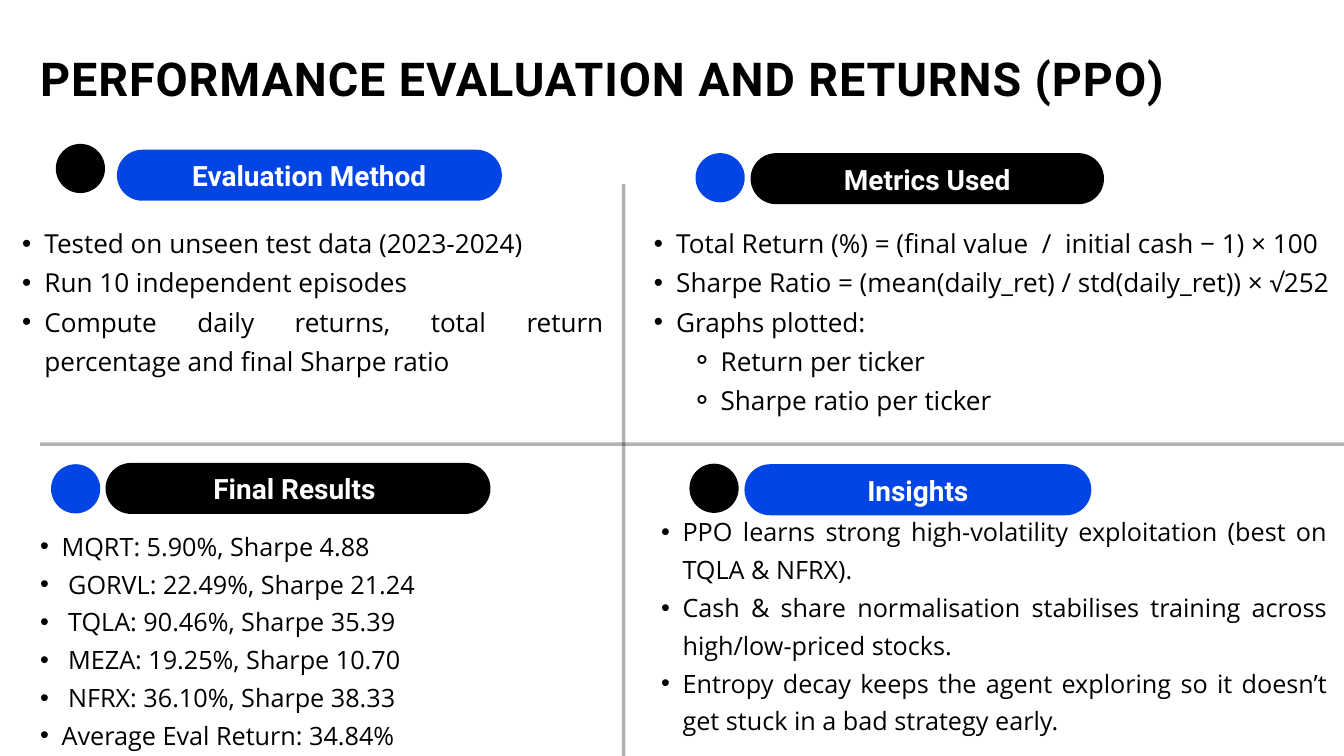
from pptx import Presentation
from pptx.dml.color import RGBColor
from pptx.enum.shapes import MSO_CONNECTOR as Link, MSO_SHAPE as Form
from pptx.enum.text import MSO_ANCHOR as Anchor, MSO_AUTO_SIZE as Fit, PP_ALIGN as Align
from pptx.oxml.ns import qn
from pptx.util import Cm, Pt
from lxml.etree import SubElement

BLACK = RGBColor(0x00, 0x00, 0x00)
BLUE = RGBColor(0x03, 0x45, 0xE4)
WHITE = RGBColor(0xFF, 0xFF, 0xFF)

DOT = 1.86
PILL = 1.93

HEADS = [
    ("Evaluation Method", BLUE, (4.42, 5.66, 14.55), BLACK, (2.11, 5.44)),
    ("Final Results ", BLACK, (3.99, 17.5, 14.55), BLUE, (1.93, 17.55)),
    ("Metrics Used", BLACK, (28.37, 5.79, 13.36), BLUE, (26.29, 5.79)),
    ("Insights", BLUE, (28.14, 17.55, 13.11), BLACK, (26.06, 17.53)),
]

LISTS = [
    ((0, 8.31, 22.81, 7.14), 28, [
        (1, "Tested on unseen test data (2023-2024)"),
        (1, "Run 10 independent episodes"),
        (1, "Compute daily returns, total return percentage and final Sharpe ratio"),
    ]),
    ((23.88, 8.31, 26.62, 8.48), 28, [
        (1, "Total Return (%) = (final value  /  initial cash − 1) × 100"),
        (1, "Sharpe Ratio = (mean(daily_ret) / std(daily_ret)) × √252"),
        (1, "Graphs plotted:"),
        (2, "Return per ticker"),
        (2, "Sharpe ratio per ticker"),
    ]),
    ((0.71, 19.79, 22.61, 9.6), 27, [
        (1, "MQRT: 5.90%, Sharpe 4.88"),
        (1, " GORVL: 22.49%, Sharpe 21.24"),
        (1, " TQLA: 90.46%, Sharpe 35.39"),
        (1, " MEZA: 19.25%, Sharpe 10.70"),
        (1, " NFRX: 36.10%, Sharpe 38.33"),
        (1, "Average Eval Return: 34.84%"),
    ]),
    ((24.18, 19.25, 25.98, 9.6), 27, [
        (1, "PPO learns strong high-volatility exploitation (best on TQLA & NFRX)."),
        (1, "Cash & share normalisation stabilises training across high/low-priced stocks."),
        (1, "Entropy decay keeps the agent exploring so it doesn’t get stuck in a bad strategy early."),
    ]),
]


def write(para, text, size, font="Open Sans", color=BLACK, bold=False,
          align=Align.LEFT, lead=42, track=0):
    para.alignment = align
    para.line_spacing = Pt(lead)
    para.space_before = para.space_after = Pt(0)
    run = para.add_run()
    run.text = text
    run.font.size = Pt(size)
    run.font.name = font
    run.font.bold = bold
    run.font.color.rgb = color
    if track:
        run._r.get_or_add_rPr().set("spc", str(track * 100))


def set_frame(frame, anchor=Anchor.TOP, bottom=0):
    frame.word_wrap = True
    frame.auto_size = Fit.NONE
    frame.vertical_anchor = anchor
    frame.margin_left = frame.margin_right = frame.margin_top = 0
    frame.margin_bottom = Cm(bottom)


def add_title(slide, text):
    title = slide.shapes.title
    title.left, title.top, title.width, title.height = Cm(1.52), Cm(1.55), Cm(47.24), Cm(4.83)
    set_frame(title.text_frame)
    write(title.text_frame.paragraphs[0], text, 50, font="Roboto", bold=True, lead=70, track=1)


def add_rule(slide, x1, y1, x2, y2):
    rule = slide.shapes.add_connector(Link.STRAIGHT, Cm(x1), Cm(y1), Cm(x2), Cm(y2))
    rule.line.width = Pt(3.75)
    rule.line.color.rgb = BLACK
    props = rule._element.spPr
    SubElement(props.find(".//" + qn("a:srgbClr")), qn("a:alpha"), val="30000")
    SubElement(props, qn("a:effectLst"))


def add_form(slide, form, box, color):
    shape = slide.shapes.add_shape(form, *map(Cm, box))
    shape.shadow.inherit = False
    shape.fill.solid()
    shape.fill.fore_color.rgb = color
    shape.line.fill.background()
    return shape


def add_head(slide, text, fill, place, tint, spot):
    pill = add_form(slide, Form.ROUNDED_RECTANGLE, (*place, PILL), fill)
    pill.adjustments[0] = 0.5
    set_frame(pill.text_frame, Anchor.MIDDLE, 0.2)
    write(pill.text_frame.paragraphs[0], text, 30, font="Roboto", color=WHITE,
          bold=True, align=Align.CENTER)
    add_form(slide, Form.OVAL, (*spot, DOT, DOT), tint)


def set_bullet(para, level, size):
    para.level = level
    step = size * 0.06
    props = para._p.get_or_add_pPr()
    props.set("marL", str(Cm(step * level)))
    props.set("indent", str(-Cm(step * level / (level + 1))))
    SubElement(props, qn("a:buFont"), typeface="Arial")
    SubElement(props, qn("a:buChar"), char="•" if level == 1 else "⚬")


def add_list(slide, box, size, items):
    frame = slide.shapes.add_textbox(*map(Cm, box)).text_frame
    set_frame(frame)
    for i, (level, text) in enumerate(items):
        para = frame.add_paragraph() if i else frame.paragraphs[0]
        write(para, text, size, align=Align.JUSTIFY, lead=size * 1.5)
        set_bullet(para, level, size)


def main():
    deck = Presentation()
    deck.slide_width, deck.slide_height = Cm(50.8), Cm(28.58)
    slide = deck.slides.add_slide(deck.slide_layouts[5])
    add_rule(slide, 1.52, 16.79, 50.8, 16.79)
    add_rule(slide, 23.57, 6.96, 23.57, 28.58)
    add_title(slide, "PERFORMANCE EVALUATION AND RETURNS (PPO)")
    for head in HEADS:
        add_head(slide, *head)
    for block in LISTS:
        add_list(slide, *block)
    deck.save("out.pptx")


if __name__ == "__main__":
    main()
